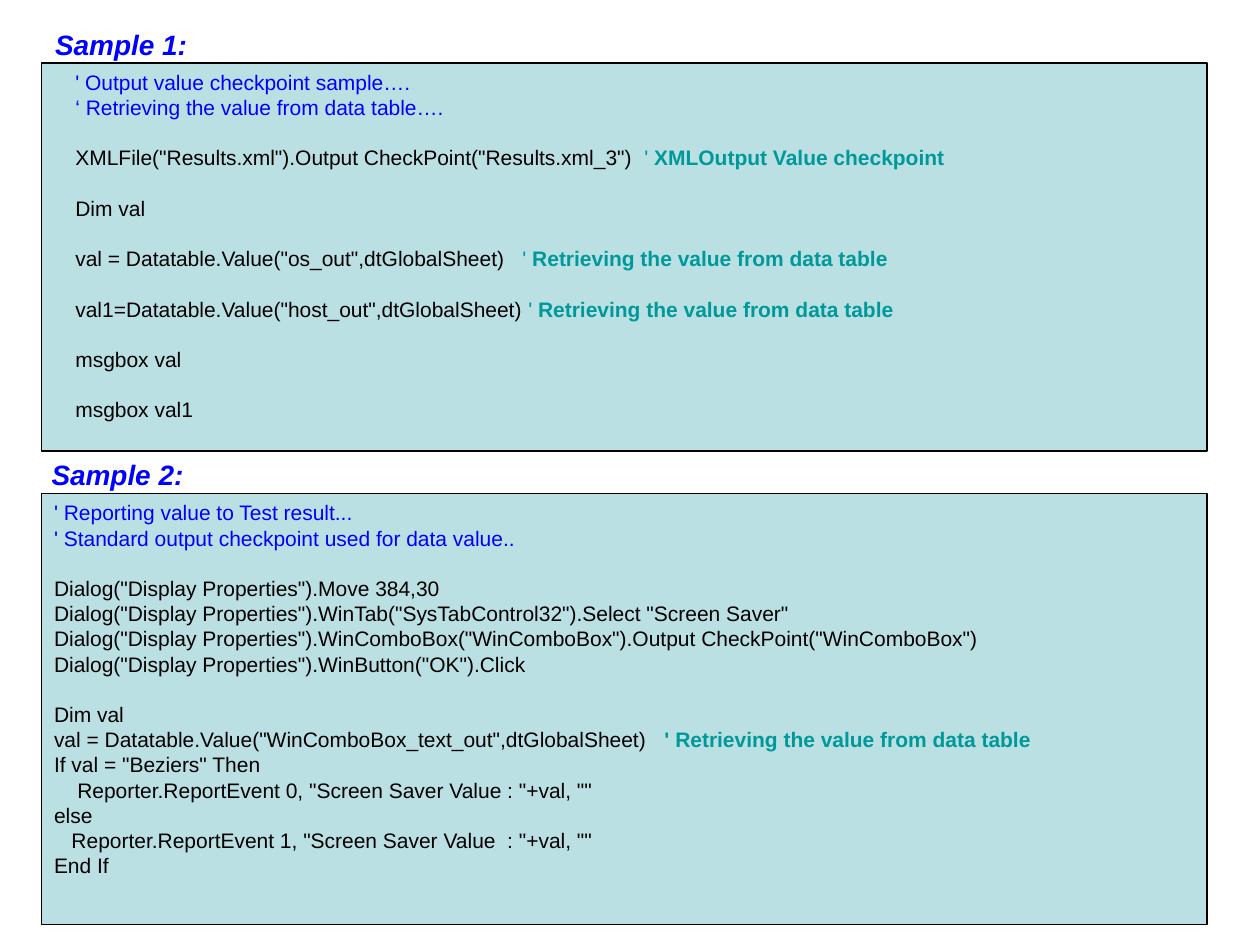
from pptx import Presentation
from pptx.dml.color import RGBColor
from pptx.enum.shapes import MSO_SHAPE
from pptx.enum.text import MSO_ANCHOR, MSO_AUTO_SIZE, PP_ALIGN
from pptx.util import Cm, Pt

COLORS = {"panel": "BBE0E3", "code": "000000", "intro": "0000FF", "note": "009999"}
STYLES = {
    "heading": dict(size=Pt(16), bold=True, italic=True, color="intro"),
    "intro": dict(size=Pt(12), bold=False, color="intro"),
    "code": dict(size=Pt(12), bold=False, color="code"),
    "mark": dict(size=Pt(12), bold=False, color="note"),
    "note": dict(size=Pt(12), bold=True, color="note"),
}
LINE = Pt(14.4)
PANEL_LEFT, PANEL_WIDTH = 0.84, 23.5
RETRIEVING = "Retrieving the value from data table"

# Each block of lines is set off by one line of space; a line is a list of (text, style).
SAMPLES = [
    {
        "heading": "Sample 1:", "heading_box": (0.86, 0.43, 4, 0.94),
        "panel": (1.27, 7.82), "code_box": (1.27, 1.27, 23.06, 7.37),
        "blocks": [
            [[("' Output value checkpoint sample….", "intro")],
             [("‘ Retrieving the value from data table….", "intro")]],
            [[('XMLFile("Results.xml").Output CheckPoint("Results.xml_3")  ', "code"),
              ("' ", "mark"), ("XMLOutput Value checkpoint", "note")]],
            [[("Dim val", "code")]],
            [[('val = Datatable.Value("os_out",dtGlobalSheet)   ', "code"),
              ("' ", "mark"), (RETRIEVING, "note")]],
            [[('val1=Datatable.Value("host_out",dtGlobalSheet) ', "code"),
              ("' ", "mark"), (RETRIEVING, "note")]],
            [[("msgbox val", "code")]],
            [[("msgbox val1", "code")]],
        ],
    },
    {
        "heading": "Sample 2:", "heading_box": (0.79, 9.09, 4, 0.94),
        "panel": (9.95, 8.69), "code_box": (0.84, 9.95, 21.39, 7.87),
        "blocks": [
            [[("' Reporting value to Test result...", "intro")],
             [("' Standard output checkpoint used for data value..", "intro")]],
            [[('Dialog("Display Properties").Move 384,30', "code")],
             [('Dialog("Display Properties").WinTab("SysTabControl32").Select "Screen Saver"', "code")],
             [('Dialog("Display Properties").WinComboBox("WinComboBox")'
               '.Output CheckPoint("WinComboBox")', "code")],
             [('Dialog("Display Properties").WinButton("OK").Click', "code")]],
            [[("Dim val", "code")],
             [('val = Datatable.Value("WinComboBox_text_out",dtGlobalSheet)   ', "code"),
              ("' " + RETRIEVING, "note")],
             [('If val = "Beziers" Then', "code")],
             [('    Reporter.ReportEvent 0, "Screen Saver Value : "+val, ""', "code")],
             [("else", "code")],
             [('   Reporter.ReportEvent 1, "Screen Saver Value  : "+val, ""', "code")],
             [("End If", "code")]],
        ],
    },
]


def add_run(p, text, style):
    r = p.add_run()
    r.text = text
    r.font.name = "Arial"
    for name, value in STYLES[style].items():
        if name == "color":
            r.font.color.rgb = RGBColor.from_string(COLORS[value])
        else:
            setattr(r.font, name, value)


def set_frame(sp):
    frame = dict(word_wrap=True, auto_size=MSO_AUTO_SIZE.NONE, vertical_anchor=MSO_ANCHOR.TOP,
                 margin_left=Cm(0.25), margin_right=Cm(0.25),
                 margin_top=Cm(0.13), margin_bottom=Cm(0.13))
    for name, value in frame.items():
        setattr(sp.text_frame, name, value)
    return sp.text_frame


def add_panel(slide, top, height):
    sp = slide.shapes.add_shape(MSO_SHAPE.RECTANGLE, Cm(PANEL_LEFT), Cm(top),
                                Cm(PANEL_WIDTH), Cm(height))
    sp.shadow.inherit = False
    sp.fill.solid()
    sp.fill.fore_color.rgb = RGBColor.from_string(COLORS["panel"])
    sp.line.color.rgb = RGBColor.from_string(COLORS["code"])
    sp.line.width = Pt(1)


def add_heading(sp, text, box):
    sp.left, sp.top, sp.width, sp.height = map(Cm, box)
    p = set_frame(sp).paragraphs[0]
    p.alignment = PP_ALIGN.LEFT
    add_run(p, text, "heading")


def add_code(slide, blocks, box):
    tf = set_frame(slide.shapes.add_textbox(*map(Cm, box)))
    p = tf.paragraphs[0]
    for b, block in enumerate(blocks):
        for i, line in enumerate(block):
            if b or i:
                p = tf.add_paragraph()
            p.line_spacing = LINE
            p.space_before = LINE if b and not i else Pt(0)
            for text, style in line:
                add_run(p, text, style)


def main():
    prs = Presentation()
    prs.slide_width, prs.slide_height = Cm(25.4), Cm(19.05)
    slide = prs.slides.add_slide(prs.slide_layouts[5])
    for sample in SAMPLES:
        add_panel(slide, *sample["panel"])
    for i, sample in enumerate(SAMPLES):
        box = sample["heading_box"]
        sp = slide.shapes.add_textbox(*map(Cm, box)) if i else slide.shapes.title
        add_heading(sp, sample["heading"], box)
        add_code(slide, sample["blocks"], sample["code_box"])
    prs.save("out.pptx")


if __name__ == "__main__":
    main()
